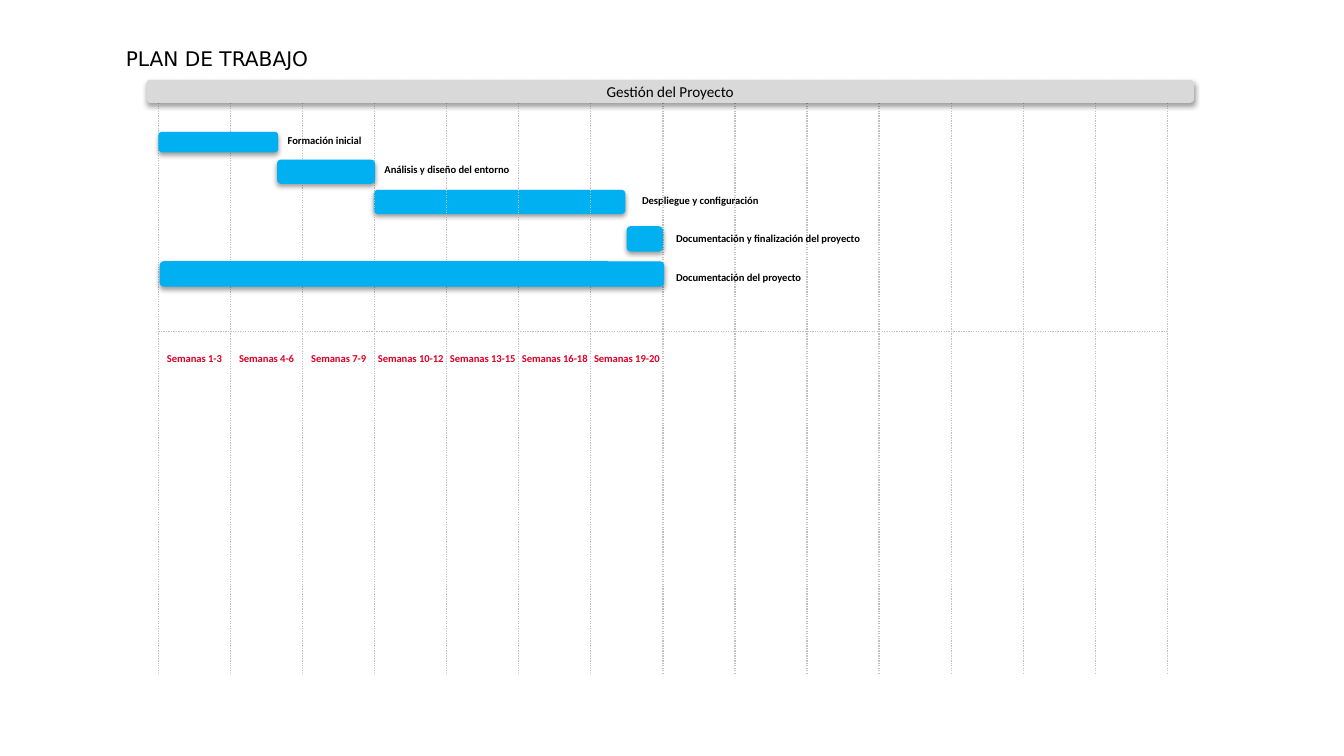
import lxml.etree
import pptx
import pptx.dml.color
import pptx.enum.dml
import pptx.enum.shapes
import pptx.enum.text
import pptx.oxml.ns
import pptx.util

Inches = pptx.util.Inches
Align = pptx.enum.text.PP_ALIGN
Anchor = pptx.enum.text.MSO_ANCHOR

BLACK, RED, BLUE = "000000", "DF0024", "00B0F0"
LIGHT_GREY, GRID_GREY = "D9D9D9", "BFBFBF"

COLUMNS = 14
WEEKS = ["1-3", "4-6", "7-9", "10-12", "13-15", "16-18", "19-20"]
# Bar left, top, width, height and label left, top, relative to the chart box
TASKS = [
    ("Despliegue y configuración", (1.78, 0.82, 2.08, 0.2), (3.9, 0.8)),
    ("Formación inicial", (0, 0.34, 0.99, 0.17), (0.97, 0.31)),
    ("Análisis y diseño del entorno", (0.98, 0.57, 0.81, 0.2), (1.77, 0.55)),
    ("Documentación del proyecto", (0.01, 1.41, 4.17, 0.21), (4.18, 1.44)),
    ("Documentación y finalización del proyecto", (3.87, 1.12, 0.3, 0.21), (4.18, 1.12)),
]


def color(hex_code):
    return pptx.dml.color.RGBColor.from_string(hex_code)


def write(frame, text, size=6.3, font="Calibri", hex_code=BLACK, bold=False,
          align=Align.LEFT, anchor=Anchor.TOP, wrap=True, side=0.1, edge=0.05):
    frame.word_wrap = wrap
    frame.auto_size = pptx.enum.text.MSO_AUTO_SIZE.NONE
    frame.vertical_anchor = anchor
    frame.margin_left = frame.margin_right = Inches(side)
    frame.margin_top = frame.margin_bottom = Inches(edge)
    paragraph = frame.paragraphs[0]
    paragraph.alignment = align
    run = paragraph.add_run()
    run.text = text
    run.font.size = pptx.util.Pt(size)
    run.font.name = font
    run.font.bold = bold
    run.font.color.rgb = color(hex_code)


def add_label(slide, left, top, width, text, **text_format):
    label = slide.shapes.add_textbox(*map(Inches, (left, top, width, 0.21)))
    write(label.text_frame, text, bold=True, **text_format)


def add_bar(slide, left, top, width, height, fill):
    bar = slide.shapes.add_shape(
        pptx.enum.shapes.MSO_SHAPE.ROUNDED_RECTANGLE,
        *map(Inches, (left, top, width, height)))
    bar.fill.solid()
    bar.fill.fore_color.rgb = color(fill)
    bar.line.fill.background()
    # Soft shadow straight below the bar
    bar.shadow.inherit = False
    effects = bar._element.spPr.find(pptx.oxml.ns.qn("a:effectLst"))
    shadow = lxml.etree.SubElement(
        effects, pptx.oxml.ns.qn("a:outerShdw"),
        blurRad=str(pptx.util.Pt(3.1)), dist=str(pptx.util.Pt(1.6)),
        dir="5400000", rotWithShape="0")
    tint = lxml.etree.SubElement(shadow, pptx.oxml.ns.qn("a:srgbClr"), val=BLACK)
    lxml.etree.SubElement(tint, pptx.oxml.ns.qn("a:alpha"), val="38000")
    return bar


def add_grid_line(slide, x1, y1, x2, y2):
    grid_line = slide.shapes.add_connector(
        pptx.enum.shapes.MSO_CONNECTOR.STRAIGHT, *map(Inches, (x1, y1, x2, y2)))
    grid_line.line.color.rgb = color(GRID_GREY)
    grid_line.line.width = pptx.util.Pt(0.75)
    grid_line.line.dash_style = pptx.enum.dml.MSO_LINE.ROUND_DOT
    lxml.etree.SubElement(grid_line._element.spPr, pptx.oxml.ns.qn("a:effectLst"))


def add_title(slide, left, top, width, height):
    title = slide.shapes.title
    title.left, title.top = Inches(left), Inches(top)
    title.width, title.height = Inches(width), Inches(height)
    write(title.text_frame, "PLAN DE TRABAJO", size=12, font="DejaVu Sans",
          side=0, edge=0)
    title.text_frame.paragraphs[0].line_spacing = 0.95


def add_task(slide, left, top, task):
    name, (bar_x, bar_y, width, height), (label_x, label_y) = task
    add_bar(slide, left + bar_x, top + bar_y, width, height, BLUE)
    add_label(slide, left + label_x, top + label_y, 2, name, wrap=False)


def add_gantt(slide, left, top, width, height):
    pitch = width / COLUMNS

    # The deployment bar lies behind the grid, the other bars in front
    add_task(slide, left, top, TASKS[0])
    for column in range(COLUMNS + 1):
        x = left + column * pitch
        add_grid_line(slide, x, top, x, top + height)
    for task in TASKS[1:]:
        add_task(slide, left, top, task)

    # Heading band
    band = add_bar(slide, left - 0.1, top - 0.09, width + 0.32, 0.19, LIGHT_GREY)
    write(band.text_frame, "Gestión del Proyecto", size=9, align=Align.CENTER,
          anchor=Anchor.MIDDLE)

    # Week scale
    add_grid_line(slide, left, top + 1.99, left + width, top + 1.99)
    for column, weeks in enumerate(WEEKS):
        add_label(slide, left + column * pitch, top + 2.11, pitch,
                  f"Semanas {weeks}", hex_code=RED, align=Align.CENTER, side=0)


def main():
    deck = pptx.Presentation()
    deck.slide_width, deck.slide_height = Inches(11.11), Inches(6.25)
    slide = deck.slides.add_slide(deck.slide_layouts[5])
    add_title(slide, 1.04, 0.4, 1.61, 0.95)
    add_gantt(slide, 1.31, 0.75, 8.34, 4.83)
    deck.save("out.pptx")


if __name__ == "__main__":
    main()
